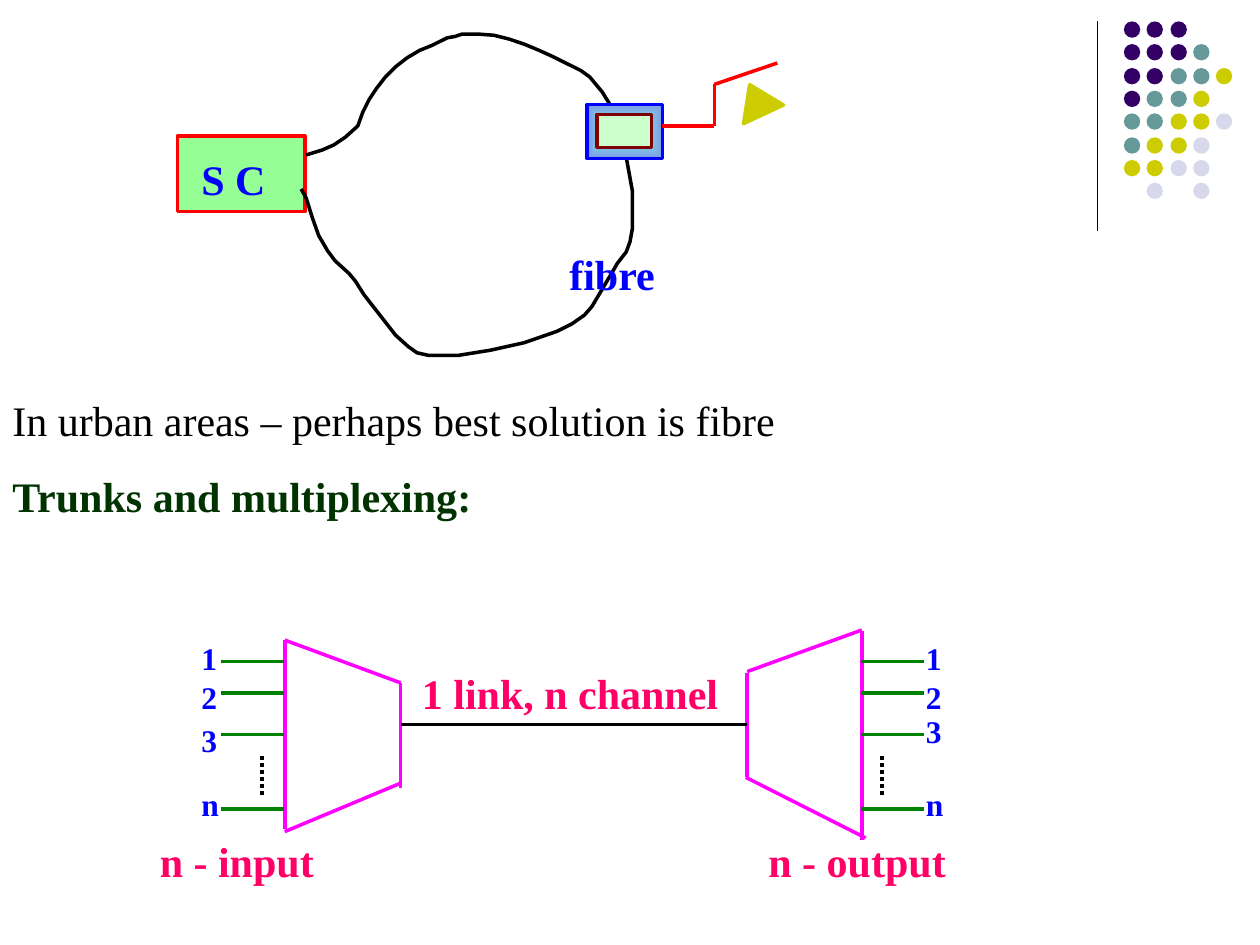
"""Builds a slide on fibre access networks, trunks and multiplexing."""
from lxml.etree import SubElement
from pptx import Presentation
from pptx.dml.color import RGBColor
from pptx.enum.dml import MSO_LINE
from pptx.enum.shapes import MSO_CONNECTOR, MSO_SHAPE
from pptx.enum.text import MSO_AUTO_SIZE
from pptx.oxml.ns import qn
from pptx.util import Pt

PX = 9144
FONT = "Times New Roman"
BLACK = RGBColor(0x00, 0x00, 0x00)
BLUE = RGBColor(0x00, 0x00, 0xFF)
RED = RGBColor(0xFF, 0x00, 0x00)
MAROON = RGBColor(0x80, 0x00, 0x00)
GREEN = RGBColor(0x00, 0x80, 0x00)
DARK_GREEN = RGBColor(0x00, 0x33, 0x00)
LIGHT_GREEN = RGBColor(0x95, 0xFF, 0x95)
PALE_GREEN = RGBColor(0xCC, 0xFF, 0xCC)
AQUA = RGBColor(0x79, 0xFF, 0xDC)
SKY = RGBColor(0x7E, 0x9C, 0xE8)
MAGENTA = RGBColor(0xFF, 0x00, 0xFF)
PINK = RGBColor(0xFF, 0x00, 0x66)
PURPLE = RGBColor(0x33, 0x00, 0x66)
TEAL = RGBColor(0x66, 0x99, 0x99)
OLIVE = RGBColor(0xCC, 0xCC, 0x00)
LAVENDER = RGBColor(0xD8, 0xD8, 0xEC)

DOT_COLOURS = {"P": PURPLE, "T": TEAL, "O": OLIVE, "L": LAVENDER}
DOT_ROWS = ["PPP", "PPPT", "PPTTO", "PTTO", "TTOOL", "TOOL", "OOLL", " L L"]

FIBRE_LOOP = [
    (243, 123), (256, 119), (265, 115), (274, 109), (284, 100), (288, 89),
    (293, 79), (299, 70), (306, 61), (314, 53), (323, 46), (333, 40),
    (343, 36), (349, 33), (355, 30), (361, 29), (367, 27), (379, 27),
    (392, 28), (404, 31), (416, 35), (428, 40), (439, 45), (461, 56),
    (468, 61), (478, 73), (486, 86), (491, 102), (496, 119), (502, 152),
    (502, 181), (500, 192), (497, 200), (490, 209), (486, 216), (470, 243),
    (464, 250), (454, 257), (442, 263), (416, 272), (389, 278), (364, 282),
    (340, 282), (331, 280), (324, 275), (314, 266), (289, 234), (282, 223),
    (277, 217), (266, 207), (260, 199), (253, 187), (248, 173), (243, 157),
    (239, 150),
]


def add_line(page, start, end, colour, width=2, dash=None):
    """Draw a straight connector between two points."""
    ends = [value * PX for value in (*start, *end)]
    line = page.shapes.add_connector(MSO_CONNECTOR.STRAIGHT, *ends)
    line.line.color.rgb = colour
    line.line.width = Pt(width)
    if dash:
        line.line.dash_style = dash
    SubElement(line._element.spPr, qn("a:effectLst"))


def add_figure(page, kind, box, fill, outline=None):
    """Draw a preset shape with a solid fill and an optional outline."""
    figure = page.shapes.add_shape(kind, *(value * PX for value in box))
    figure.shadow.inherit = False
    figure.fill.solid()
    figure.fill.fore_color.rgb = fill
    if outline is None:
        figure.line.fill.background()
    else:
        figure.line.color.rgb = outline
        figure.line.width = Pt(2)
    return figure


def set_centre_gradient(figure, inner, outer):
    """Fill a shape with a gradient that runs from its centre to its edges."""
    figure.fill.gradient()
    for stop, colour in zip(figure.fill.gradient_stops, (inner, outer)):
        stop.color.rgb = colour
    gradient = figure._element.spPr.find(qn("a:gradFill"))
    linear = gradient.find(qn("a:lin"))
    radial = SubElement(gradient, qn("a:path"), path="rect")
    SubElement(radial, qn("a:fillToRect"), l="50000", t="50000", r="50000", b="50000")
    gradient.replace(linear, radial)


def add_text(page, box, lines, size=24):
    """Write one paragraph for each (text, colour, bold) line."""
    label = page.shapes.add_textbox(*(value * PX for value in box))
    frame = label.text_frame
    frame.word_wrap = True
    frame.auto_size = MSO_AUTO_SIZE.SHAPE_TO_FIT_TEXT
    frame.text = "\n".join(text for text, _, _ in lines)
    for para, (_, colour, bold) in zip(frame.paragraphs, lines):
        para.space_before = Pt(size * 0.625)
        font = para.runs[0].font
        font.name = FONT
        font.size = Pt(size)
        font.bold = bold
        font.color.rgb = colour


def add_dot_pattern(page):
    """Draw the corner rule and its grid of coloured dots."""
    add_line(page, (871, 17), (871, 183), BLACK, 0.75)
    for row, codes in enumerate(DOT_ROWS):
        for column, code in enumerate(codes):
            if code in DOT_COLOURS:
                box = (892 + round(column * 18.35), 17 + round(row * 18.35), 13, 13)
                add_figure(page, MSO_SHAPE.OVAL, box, DOT_COLOURS[code])


def add_fibre_ring(page):
    """Draw the switching centre, the fibre loop and the access node."""
    add_figure(page, MSO_SHAPE.RECTANGLE, (141, 108, 101, 60), LIGHT_GREEN, RED)
    add_text(page, (150, 117, 83, 50), [("S C", BLUE, True)])
    builder = page.shapes.build_freeform(*FIBRE_LOOP[0], scale=PX)
    builder.add_line_segments(FIBRE_LOOP[1:], close=False)
    loop = builder.convert_to_shape()
    loop.shadow.inherit = False
    loop.fill.background()
    loop.line.color.rgb = BLACK
    loop.line.width = Pt(2)
    node = add_figure(page, MSO_SHAPE.RECTANGLE, (466, 83, 60, 43), SKY, BLUE)
    set_centre_gradient(node, AQUA, SKY)
    add_figure(page, MSO_SHAPE.RECTANGLE, (474, 91, 43, 26), PALE_GREEN, MAROON)
    drop = [(525, 100), (567, 100), (567, 67), (617, 50)]
    for start, end in zip(drop, drop[1:]):
        add_line(page, start, end, RED)
    phone = add_figure(page, MSO_SHAPE.ISOSCELES_TRIANGLE, (583, 66, 35, 26), OLIVE, OLIVE)
    phone.rotation = 335
    add_text(page, (442, 192, 158, 50), [("fibre", BLUE, True)])


def add_multiplexer(page, sides, port_left, dots_left, label_left, label_tops):
    """Draw one multiplexer with its sides, ports and port labels."""
    for start, end in sides:
        add_line(page, start, end, MAGENTA)
    for top in (525, 550, 583, 642):
        add_line(page, (port_left, top), (port_left + 50, top), GREEN)
    add_line(page, (dots_left, 600), (dots_left, 633), BLACK, dash=MSO_LINE.ROUND_DOT)
    for text, top in zip("123n", label_tops):
        add_text(page, (label_left, top, 100, 40), [(text, BLUE, True)], 18)


def main():
    """Build and save the slide."""
    deck = Presentation()
    deck.slide_width, deck.slide_height = 1000 * PX, 750 * PX
    page = deck.slides.add_slide(deck.slide_layouts[6])
    add_dot_pattern(page)
    add_fibre_ring(page)
    add_text(page, (0, 308, 1000, 172), [
        ("In urban areas – perhaps best solution is fibre", BLACK, False),
        ("Trunks and multiplexing:", DARK_GREEN, True),
    ])
    input_sides = [
        ((226, 508), (318, 542)), ((226, 660), (317, 622)),
        ((318, 542), (318, 625)), ((226, 508), (226, 658)),
    ]
    output_sides = [
        ((593, 533), (684, 500)), ((592, 617), (687, 665)),
        ((593, 534), (593, 617)), ((684, 501), (684, 667)),
    ]
    add_multiplexer(page, input_sides, 175, 208, 150, (502, 533, 567, 618))
    add_multiplexer(page, output_sides, 683, 700, 725, (502, 533, 560, 618))
    add_line(page, (318, 575), (593, 575), BLACK)
    captions = [("1 link, n channel", 325, 525), ("n - input", 117, 658), ("n - output", 600, 658)]
    for text, left, top in captions:
        add_text(page, (left, top, 283, 50), [(text, PINK, True)])
    deck.save("out.pptx")


if __name__ == "__main__":
    main()
